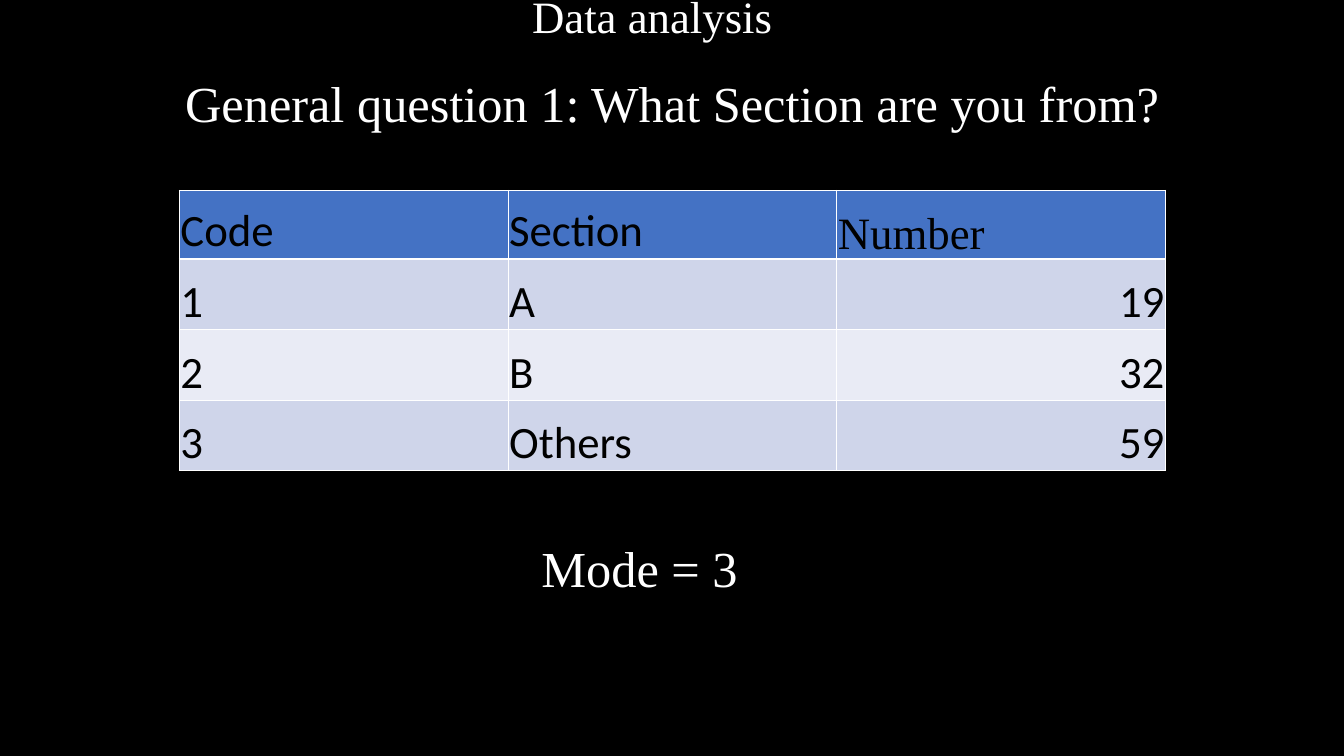
import pptx
import pptx.dml.color
import pptx.enum.text
import pptx.util

Inches = pptx.util.Inches
ALIGN = pptx.enum.text.PP_ALIGN
ANCHOR = pptx.enum.text.MSO_ANCHOR
SERIF, SANS = "Times New Roman", "Calibri"


def color(hex_string):
    return pptx.dml.color.RGBColor.from_string(hex_string)


def write(frame, text, size, face, ink, align):
    paragraph = frame.paragraphs[0]
    paragraph.alignment = align
    run = paragraph.add_run()
    run.text = text
    run.font.size = pptx.util.Pt(size)
    run.font.name = face
    run.font.bold = False
    run.font.color.rgb = color(ink)
    return paragraph


deck = pptx.Presentation()
deck.slide_width, deck.slide_height = Inches(13.33), Inches(7.5)
slide = deck.slides.add_slide(deck.slide_layouts[0])
slide.background.fill.solid()
slide.background.fill.fore_color.rgb = color("000000")

# Heading and question
heading, question = slide.placeholders
for part, text, size, box, anchor in (
    (heading, "Data analysis", 32, (1.47, 0.32, 10, 0.56), ANCHOR.BOTTOM),
    (question, "General question 1: What Section are you from?", 36,
     (1.67, 0.73, 10, 0.78), ANCHOR.TOP),
):
    part.left, part.top, part.width, part.height = map(Inches, box)
    frame = part.text_frame
    frame.word_wrap = True
    frame.auto_size = pptx.enum.text.MSO_AUTO_SIZE.NONE
    frame.vertical_anchor = anchor
    paragraph = write(frame, text, size, SERIF, "FFFFFF", ALIGN.CENTER)
    paragraph.line_spacing = 0.9
    paragraph.space_before = pptx.util.Pt(0)
# The heading sits high in its box
heading.text_frame.margin_top = 0
heading.text_frame.margin_bottom = Inches(0.45)

# Table of answers
answers = (
    ("Code", "Section", "Number"),
    ("1", "A", "19"),
    ("2", "B", "32"),
    ("3", "Others", "59"),
)
row_fills = ("4472C4", "CFD5EA", "E9EBF5", "CFD5EA")
table = slide.shapes.add_table(
    len(answers), 3, Inches(1.78), Inches(1.89), Inches(9.77), Inches(2.76)
).table
for column in table.columns:
    column.width = Inches(3.26)
for r, (answer, fill) in enumerate(zip(answers, row_fills)):
    table.rows[r].height = Inches(0.7 if r else 0.68)
    for c, text in enumerate(answer):
        cell = table.cell(r, c)
        cell.fill.solid()
        cell.fill.fore_color.rgb = color(fill)
        cell.vertical_anchor = ANCHOR.BOTTOM
        cell.margin_left = cell.margin_right = cell.margin_top = Inches(0.01)
        cell.margin_bottom = 0
        face = SERIF if text == "Number" else SANS
        align = ALIGN.RIGHT if r and c == 2 else ALIGN.LEFT
        write(cell.text_frame, text, 32, face, "000000", align)

# Mode
mode = slide.shapes.add_textbox(*map(Inches, (5.27, 5.28, 2.32, 0.71))).text_frame
mode.word_wrap = True
mode.auto_size = pptx.enum.text.MSO_AUTO_SIZE.SHAPE_TO_FIT_TEXT
write(mode, "Mode = 3", 36, SERIF, "FFFFFF", ALIGN.LEFT)

deck.save("out.pptx")
